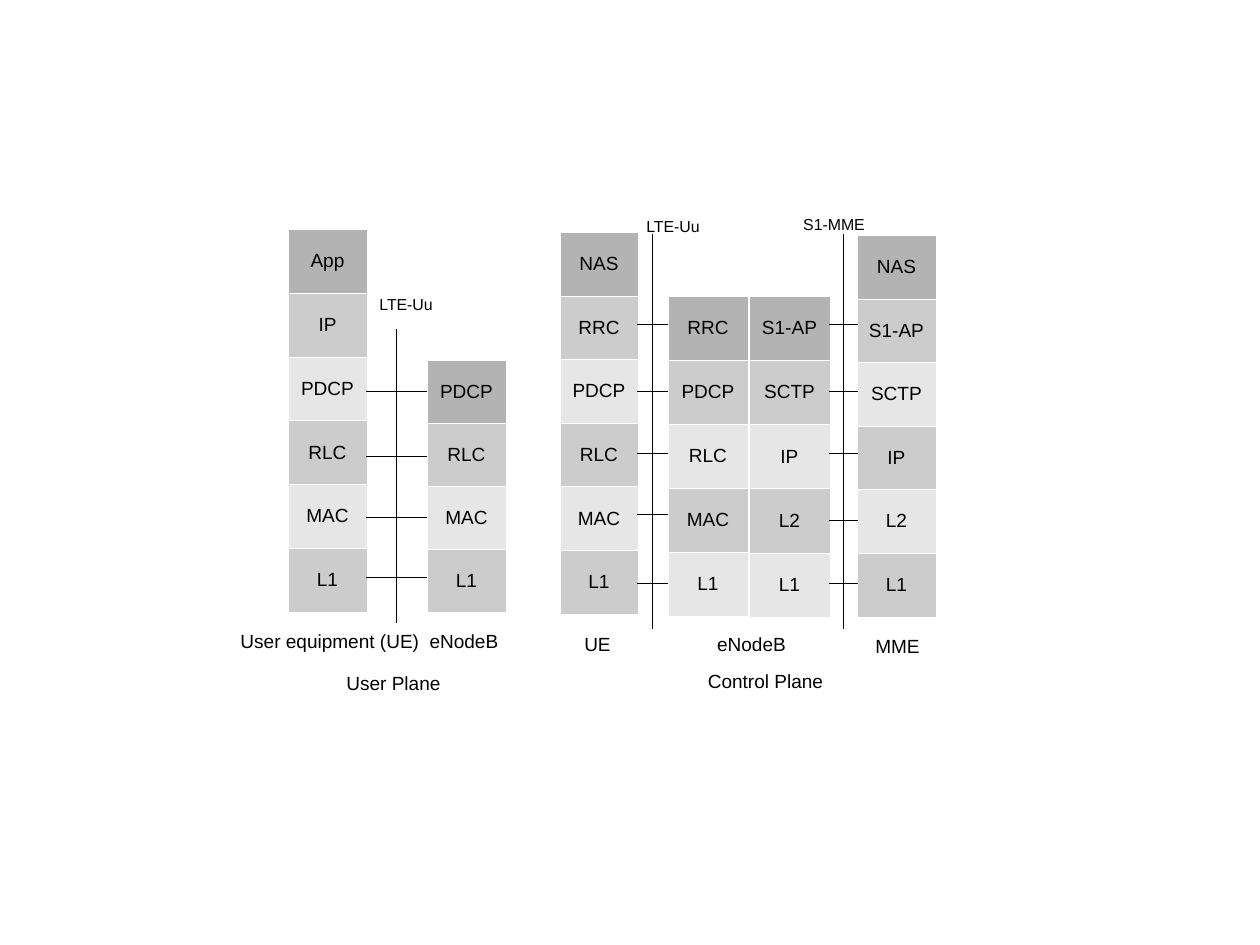
from lxml import etree
from pptx import Presentation
from pptx import util as u
from pptx.dml.color import RGBColor
from pptx.enum import shapes, text
from pptx.oxml.ns import qn

COLOURS = {"ink": "000000", "border": "FFFFFF", "top": "B3B3B3",
           "mid": "CCCCCC", "light": "E6E6E6"}
PX = 8000


def px(length):
    return u.Emu(length * PX)


def write(frame, words, size=12, colour="ink", font="Arial", align=text.PP_ALIGN.CENTER):
    paragraph = frame.paragraphs[0]
    paragraph.alignment = align
    run = paragraph.add_run()
    run.text = words
    run.font.size = u.Pt(size)
    run.font.name = font
    run.font.color.rgb = RGBColor.from_string(COLOURS[colour])


class StackDiagram:
    """Draws protocol stacks, links and captions on one slide."""

    def __init__(self, slide):
        self.slide = slide

    def stack(self, left, top, width, height, layers):
        protocols = self.slide.shapes.add_table(
            len(layers), 1, px(left), px(top), px(width), px(height)).table
        protocols.first_row = protocols.horz_banding = False
        for level, layer in enumerate(layers):
            cell = protocols.cell(level, 0)
            cell.vertical_anchor = text.MSO_ANCHOR.MIDDLE
            self.border(cell)
            shade = "top" if level == 0 else ("light", "mid")[level % 2]
            cell.fill.solid()
            cell.fill.fore_color.rgb = RGBColor.from_string(COLOURS[shade])
            write(cell.text_frame, layer)

    def border(self, cell):
        properties = cell._tc.get_or_add_tcPr()
        for side in ("a:lnL", "a:lnR", "a:lnT", "a:lnB"):
            edge = etree.SubElement(properties, qn(side), w="762")
            fill = etree.SubElement(edge, qn("a:solidFill"))
            etree.SubElement(fill, qn("a:srgbClr"), val=COLOURS["border"])

    def line(self, x1, y1, x2, y2):
        link = self.slide.shapes.add_connector(
            shapes.MSO_CONNECTOR.STRAIGHT, px(x1), px(y1), px(x2), px(y2))
        link.line.color.rgb = RGBColor.from_string(COLOURS["ink"])
        link.line.width = u.Pt(0.01)
        etree.SubElement(link._element.spPr, qn("a:effectLst"))

    def links(self, left, right, heights):
        for y in heights:
            self.line(left, y, right, y)

    def caption(self, left, top, width, height, words, **style):
        frame = self.slide.shapes.add_textbox(
            px(left), px(top), px(width), px(height)).text_frame
        frame.word_wrap = False
        frame.vertical_anchor = text.MSO_ANCHOR.MIDDLE
        frame.margin_left = frame.margin_right = 0
        write(frame, words, **style)


def main():
    deck = Presentation()
    deck.slide_width, deck.slide_height = px(1260), px(945)
    diagram = StackDiagram(deck.slides.add_slide(deck.slide_layouts[6]))

    radio = ["PDCP", "RLC", "MAC", "L1"]
    core = ["S1-AP", "SCTP", "IP", "L2", "L1"]
    for left, top, width, height, layers in (
            (288, 229, 79, 383, ["App", "IP"] + radio),
            (427, 360, 79, 252, radio),
            (560, 232, 78, 382, ["NAS", "RRC"] + radio),
            (668, 296, 80, 320, ["RRC"] + radio),
            (857, 235, 79, 382, ["NAS"] + core),
            (749, 296, 81, 321, core)):
        diagram.stack(left, top, width, height, layers)

    for x, top, bottom in ((397, 330, 623), (653, 234, 629), (844, 234, 629)):
        diagram.line(x, top, x, bottom)
    diagram.links(367, 427, (392, 457, 518, 578))
    diagram.links(638, 668, (324, 392, 454, 515, 584))
    diagram.links(830, 858, (324, 392, 454, 521, 584))

    for left, top, width, height, words in (
            (239, 629, 182, 23, "User equipment (UE)"),
            (419, 632, 90, 17, "eNodeB"),
            (282, 663, 223, 39, "User Plane"),
            (555, 632, 85, 23, "UE"),
            (709, 629, 85, 29, "eNodeB"),
            (863, 634, 69, 23, "MME"),
            (696, 669, 139, 23, "Control Plane")):
        diagram.caption(left, top, width, height, words)
    for left, top, interface in ((373, 296, "LTE-Uu"), (640, 218, "LTE-Uu"),
                                 (801, 216, "S1-MME")):
        diagram.caption(left, top, 66, 16, interface, size=10)

    deck.save("out.pptx")


if __name__ == "__main__":
    main()
